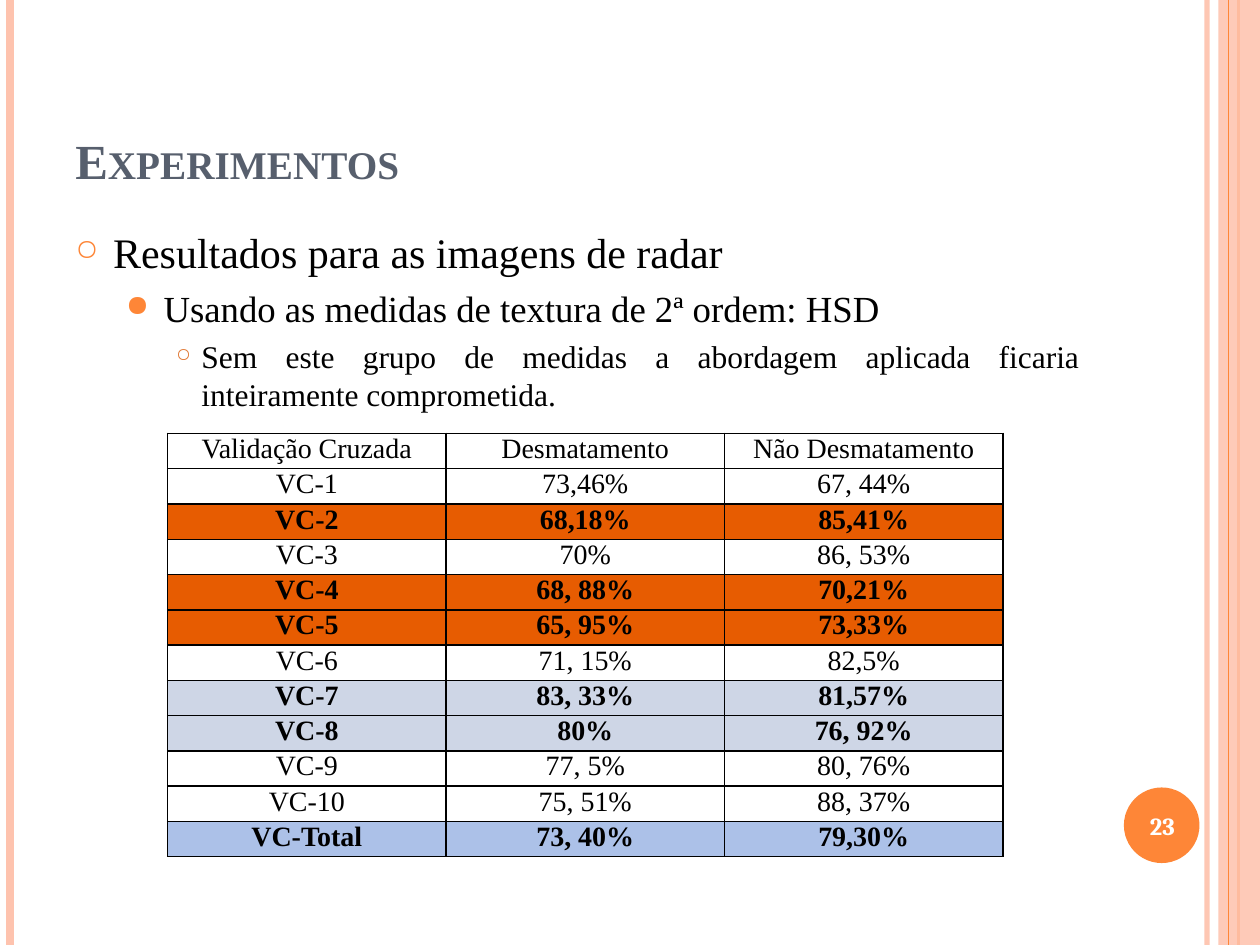
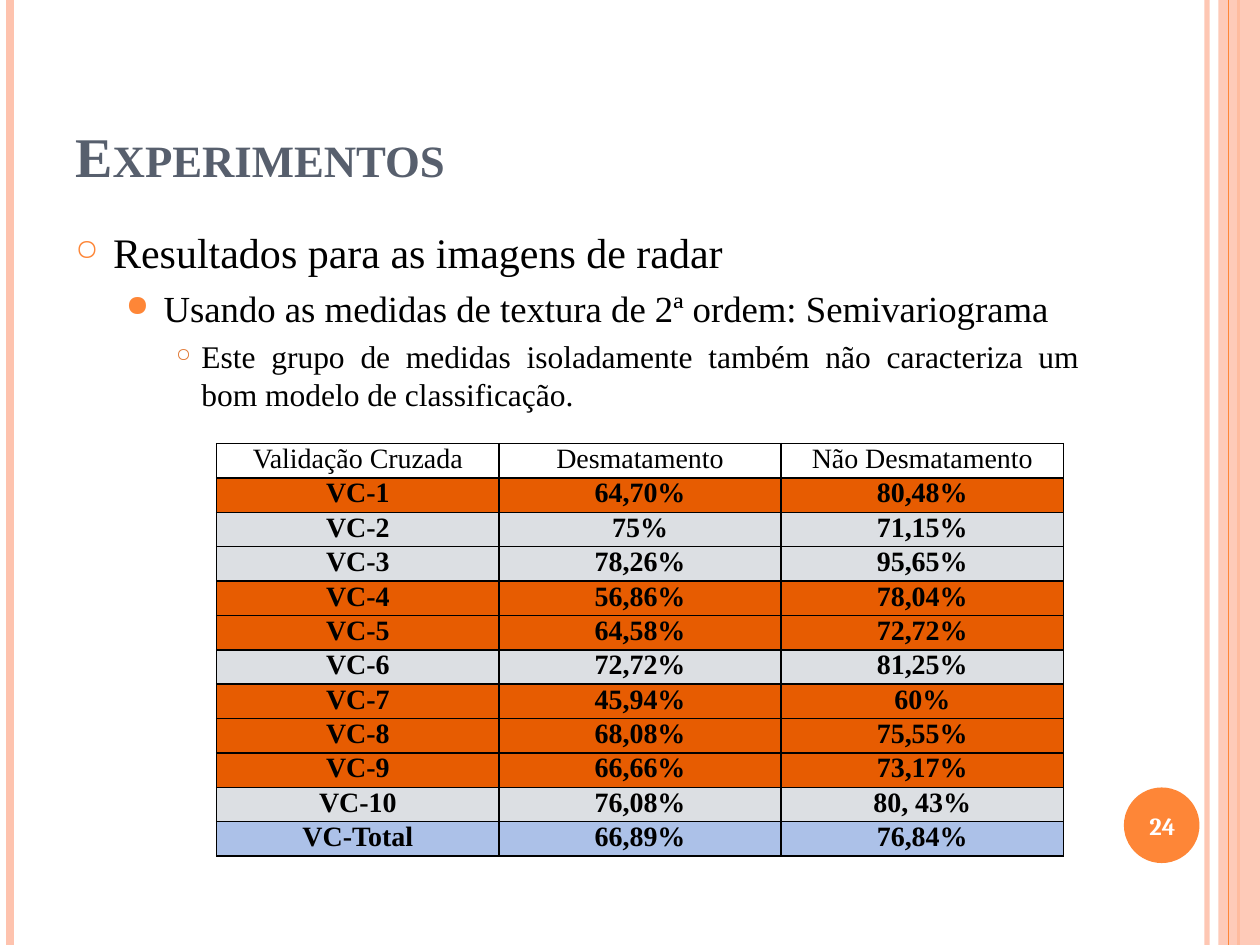
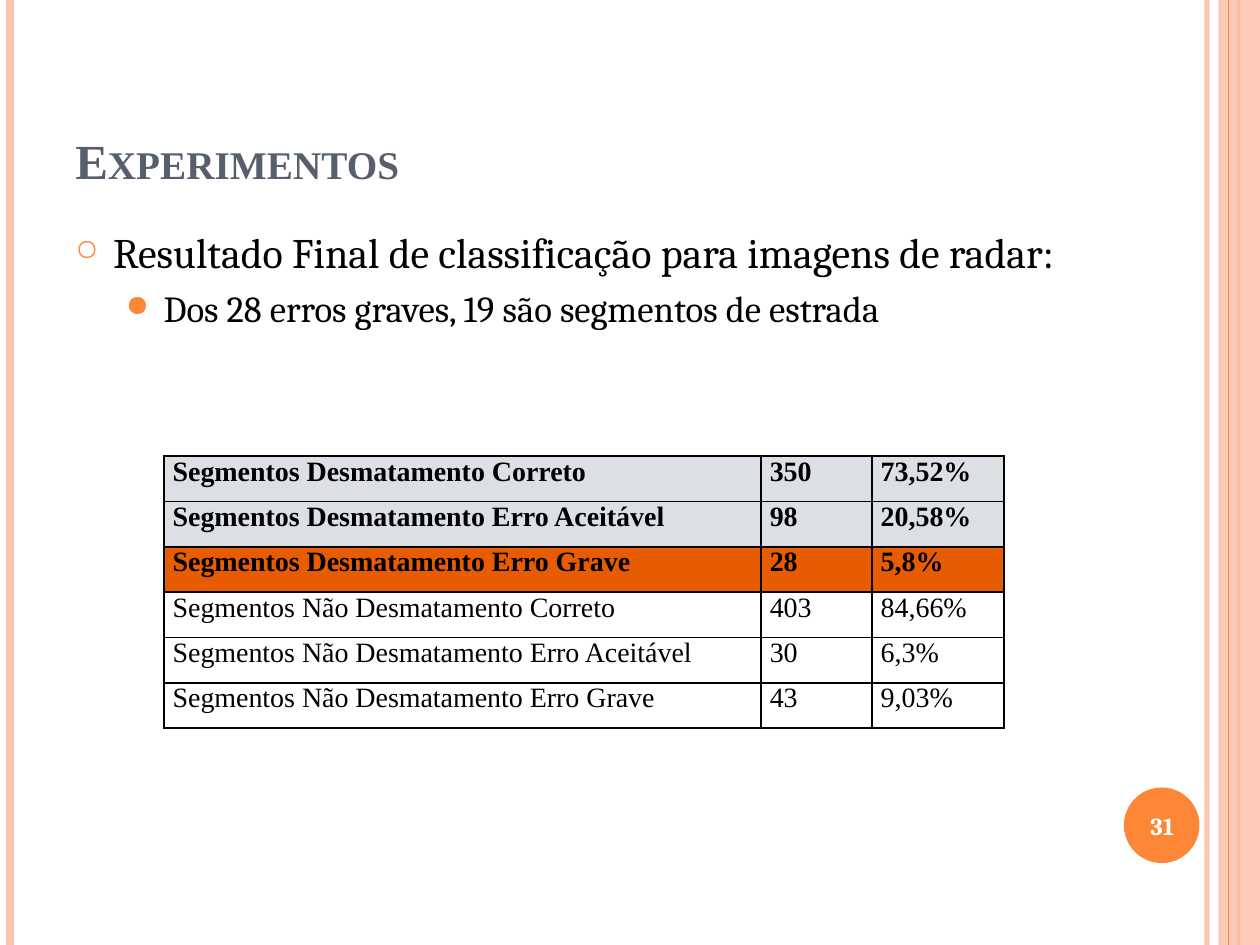
import pptx
import pptx.util
import pptx.dml.color
import pptx.enum.shapes
import pptx.enum.text
import pptx.oxml.ns
from lxml import etree

Inches, Pt = pptx.util.Inches, pptx.util.Pt
RGB = pptx.dml.color.RGBColor
SHAPE = pptx.enum.shapes.MSO_SHAPE
ALIGN = pptx.enum.text.PP_ALIGN
ANCHOR = pptx.enum.text.MSO_ANCHOR
qn = pptx.oxml.ns.qn

BLACK, WHITE = RGB(0, 0, 0), RGB(255, 255, 255)
SLATE = RGB(0x57, 0x5F, 0x6D)
PEACH = RGB(0xFE, 0xC3, 0xAE)
ORANGE = RGB(0xFE, 0x86, 0x37)
RUST = RGB(0xE0, 0x76, 0x31)
BAD = RGB(0xE7, 0x5C, 0x01)
GOOD = RGB(0xCE, 0xD6, 0xE6)
GRAY = RGB(0xDC, 0xDF, 0xE3)
TOTAL = RGB(0xAC, 0xC1, 0xE8)
TIMES, CAMBRIA = "Times New Roman", "Cambria"
WIDE, HIGH = 10, 7.5

# margin, hanging indent, space before, bullet, bullet colour, bullet %, size
LEVELS = [
    (0.3, 0.3, 0, "○", ORANGE, 70, 24),
    (0.7, 0.3, 5, "●", ORANGE, 80, 21),
    (1.0, 0.2, 4, "○", RUST, 60, 18),
]

HEAD = ("Validação Cruzada", "Desmatamento", "Não Desmatamento", None)
RADAR = "Resultados para as imagens de radar"

# Each table row ends with its fill; filled rows are bold.
SLIDES = [
    dict(
        number=23, title=28, font=TIMES, aligns=[ALIGN.LEFT, ALIGN.LEFT, ALIGN.JUSTIFY],
        body=[RADAR, "Usando as medidas de textura de 2ª ordem: HSD",
              "Sem este grupo de medidas a abordagem aplicada ficaria "
              "inteiramente comprometida."],
        spot=(1.33, 3.44), cols=[2.21] * 3, row=0.28, align=ALIGN.CENTER,
        rows=[
            HEAD,
            ("VC-1", "73,46%", "67, 44%", None),
            ("VC-2", "68,18%", "85,41%", BAD),
            ("VC-3", "70%", "86, 53%", None),
            ("VC-4", "68, 88%", "70,21%", BAD),
            ("VC-5", "65, 95%", "73,33%", BAD),
            ("VC-6", "71, 15%", "82,5%", None),
            ("VC-7", "83, 33%", "81,57%", GOOD),
            ("VC-8", "80%", "76, 92%", GOOD),
            ("VC-9", "77, 5%", "80, 76%", None),
            ("VC-10", "75, 51%", "88, 37%", None),
            ("VC-Total", "73, 40%", "79,30%", TOTAL),
        ]),
    dict(
        number=24, title=32, font=TIMES, aligns=[ALIGN.LEFT, ALIGN.LEFT, ALIGN.JUSTIFY],
        body=[RADAR, "Usando as medidas de textura de 2ª ordem: Semivariograma",
              "Este grupo de medidas isoladamente também não caracteriza um "
              "bom modelo de classificação."],
        spot=(1.72, 3.52), cols=[2.24] * 3, row=0.273, align=ALIGN.CENTER,
        rows=[
            HEAD,
            ("VC-1", "64,70%", "80,48%", BAD),
            ("VC-2", "75%", "71,15%", GRAY),
            ("VC-3", "78,26%", "95,65%", GRAY),
            ("VC-4", "56,86%", "78,04%", BAD),
            ("VC-5", "64,58%", "72,72%", BAD),
            ("VC-6", "72,72%", "81,25%", GRAY),
            ("VC-7", "45,94%", "60%", BAD),
            ("VC-8", "68,08%", "75,55%", BAD),
            ("VC-9", "66,66%", "73,17%", BAD),
            ("VC-10", "76,08%", "80, 43%", GRAY),
            ("VC-Total", "66,89%", "76,84%", TOTAL),
        ]),
    dict(
        number=31, title=28, font=CAMBRIA, aligns=[ALIGN.JUSTIFY] * 2,
        body=["Resultado Final de classificação para imagens de radar:",
              "Dos 28 erros graves, 19 são segmentos de estrada"],
        spot=(1.3, 3.62), cols=[4.74, 0.88, 1.05], row=0.36, align=ALIGN.JUSTIFY,
        rows=[
            ("Segmentos Desmatamento Correto", "350", "73,52%", GRAY),
            ("Segmentos Desmatamento Erro Aceitável", "98", "20,58%", GRAY),
            ("Segmentos Desmatamento Erro Grave", "28", "5,8%", BAD),
            ("Segmentos Não Desmatamento Correto", "403", "84,66%", None),
            ("Segmentos Não Desmatamento Erro Aceitável", "30", "6,3%", None),
            ("Segmentos Não Desmatamento Erro Grave", "43", "9,03%", None),
        ]),
]


def sub(parent, tag, **attrs):
    node = etree.SubElement(parent, qn(tag))
    for key, value in attrs.items():
        node.set(key, str(value))
    return node


def fade(shape, percent):
    """Make the first solid colour of a shape partly transparent."""
    color = next(shape._element.spPr.iter(qn("a:srgbClr")))
    sub(color, "a:alpha", val=percent * 1000)


def style(par, size, font, color, bold=False):
    par.font.size, par.font.name = Pt(size), font
    par.font.color.rgb, par.font.bold = color, bold


def stripe(slide, x, color, width):
    line = slide.shapes.add_connector(
        pptx.enum.shapes.MSO_CONNECTOR.STRAIGHT,
        Inches(x), 0, Inches(x), Inches(HIGH))
    line.line.color.rgb, line.line.width = color, Pt(width)
    sub(line._element.spPr, "a:effectLst")
    return line


def solid(slide, kind, box, color):
    shape = slide.shapes.add_shape(kind, *map(Inches, box))
    shape.shadow.inherit = False
    shape.fill.solid()
    shape.fill.fore_color.rgb = color
    shape.line.fill.background()
    return shape


def textbox(slide, box, anchor):
    frame = slide.shapes.add_textbox(*map(Inches, box)).text_frame
    frame.word_wrap, frame.vertical_anchor = True, anchor
    return frame


def frame_page(slide):
    """Draw the bands and the number disc that all slides share."""
    fade(stripe(slide, 9.58, PEACH, 3), 93)
    stripe(slide, 0.08, PEACH, 4.5)
    stripe(slide, 9.83, ORANGE, 1.5)
    fade(solid(slide, SHAPE.RECTANGLE, (9.67, 0, 0.33, HIGH), PEACH), 87)
    stripe(slide, 9.75, ORANGE, 0.75)
    solid(slide, SHAPE.OVAL, (8.92, 6.25, 0.6, 0.6), ORANGE)


def add_title(slide, size):
    par = textbox(slide, (0.5, 0.3, 8.17, 1.25), ANCHOR.BOTTOM).paragraphs[0]
    par.text = "Experimentos"
    style(par, size, TIMES, SLATE, True)
    par._p.pPr.find(qn("a:defRPr")).set("cap", "small")


def add_body(slide, lines, aligns, font):
    frame = textbox(slide, (0.5, 1.75, 8.17, 5.33), ANCHOR.TOP)
    for i, (text, align, level) in enumerate(zip(lines, aligns, LEVELS)):
        left, hang, gap, mark, color, scale, size = level
        par = frame.add_paragraph() if i else frame.paragraphs[0]
        par.text, par.level, par.alignment = text, i, align
        par.space_before = Pt(gap)
        props = par._p.get_or_add_pPr()
        props.set("marL", str(Inches(left)))
        props.set("indent", str(-Inches(hang)))
        sub(sub(props, "a:buClr"), "a:srgbClr", val=color)
        sub(props, "a:buSzPct", val=scale * 1000)
        sub(props, "a:buChar", char=mark)
        style(par, size, font, BLACK)


def fill_cell(cell, text, color, align):
    cell.margin_left = cell.margin_right = Inches(0.07)
    cell.margin_top = cell.margin_bottom = 0
    props = cell._tc.get_or_add_tcPr()
    for side in "LRTB":
        edge = sub(props, "a:ln" + side, w=Pt(1))
        sub(sub(edge, "a:solidFill"), "a:srgbClr", val=BLACK)
    if color is None:
        cell.fill.background()
    else:
        cell.fill.solid()
        cell.fill.fore_color.rgb = color
    par = cell.text_frame.paragraphs[0]
    par.text, par.alignment = text, align
    style(par, 16, TIMES, BLACK, color is not None)


def add_grid(slide, spot, cols, height, rows, align):
    table = slide.shapes.add_table(
        len(rows), len(cols), *map(Inches, spot),
        Inches(sum(cols)), Inches(height * len(rows))).table
    table.first_row = table.horz_banding = False
    for col, width in zip(table.columns, cols):
        col.width = Inches(width)
    for r, (*texts, color) in enumerate(rows):
        table.rows[r].height = Inches(height)
        for c, text in enumerate(texts):
            fill_cell(table.cell(r, c), text, color, align)


def add_number(slide, number):
    par = textbox(slide, (8.89, 6.27, 0.67, 0.57), ANCHOR.MIDDLE).paragraphs[0]
    par.text, par.alignment = str(number), ALIGN.CENTER
    style(par, 14, CAMBRIA, WHITE, True)


def main():
    deck = pptx.Presentation()
    deck.slide_width, deck.slide_height = Inches(WIDE), Inches(HIGH)
    for page in SLIDES:
        slide = deck.slides.add_slide(deck.slide_layouts[6])
        frame_page(slide)
        add_title(slide, page["title"])
        add_body(slide, page["body"], page["aligns"], page["font"])
        add_grid(slide, page["spot"], page["cols"], page["row"],
                 page["rows"], page["align"])
        add_number(slide, page["number"])
    deck.save("out.pptx")


if __name__ == "__main__":
    main()
